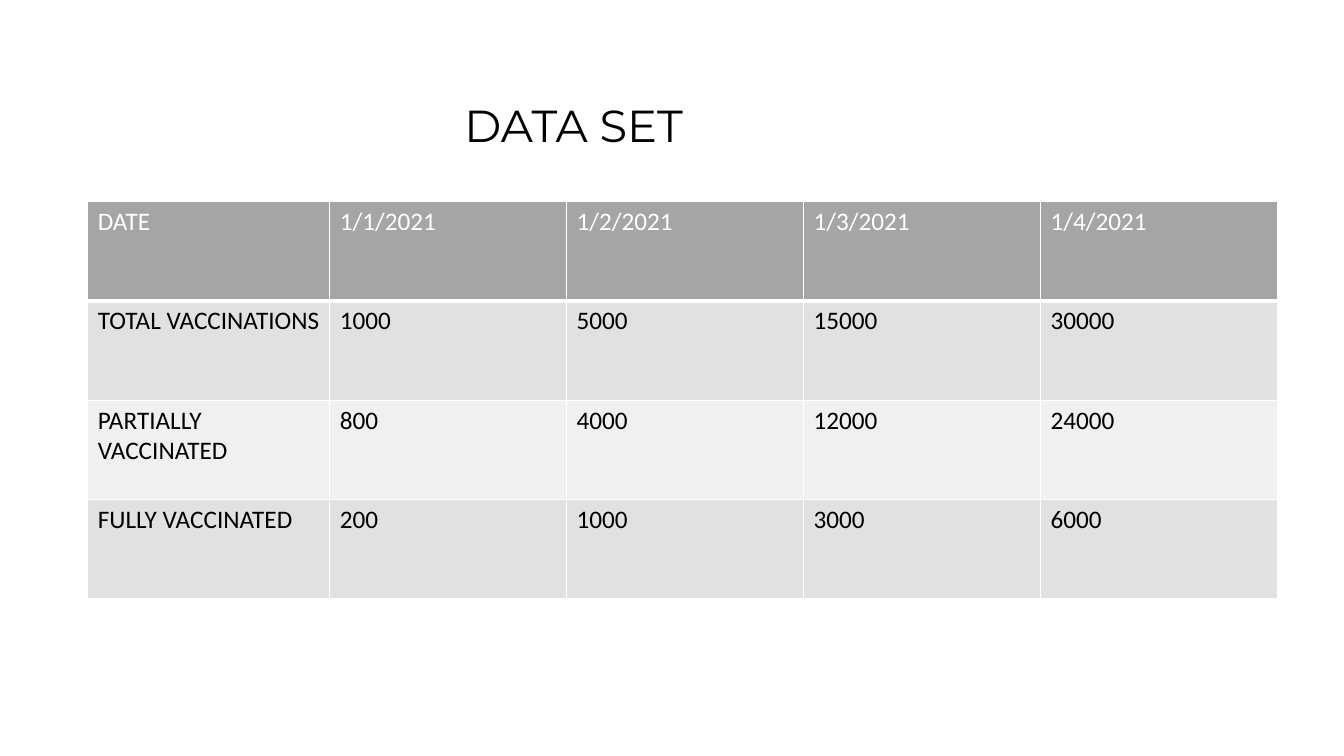
import lxml.etree
import pptx
import pptx.dml.color
import pptx.oxml.ns
import pptx.util

WHITE = pptx.dml.color.RGBColor(0xFF, 0xFF, 0xFF)
BLACK = pptx.dml.color.RGBColor(0x00, 0x00, 0x00)
HEADER_GRAY = pptx.dml.color.RGBColor(0xA5, 0xA5, 0xA5)
BAND_GRAYS = (
    pptx.dml.color.RGBColor(0xE1, 0xE1, 0xE1),
    pptx.dml.color.RGBColor(0xF0, 0xF0, 0xF0),
)

VACCINATIONS = (
    ("DATE", "1/1/2021", "1/2/2021", "1/3/2021", "1/4/2021"),
    ("TOTAL VACCINATIONS", "1000", "5000", "15000", "30000"),
    ("PARTIALLY VACCINATED", "800", "4000", "12000", "24000"),
    ("FULLY VACCINATED", "200", "1000", "3000", "6000"),
)


def write_text(frame, text, *, font, size, color, indent=0):
    """Write one formatted paragraph, indented by a length in inches."""
    frame.word_wrap = True
    paragraph = frame.paragraphs[0]
    properties = paragraph._p.get_or_add_pPr()
    properties.set("marL", str(pptx.util.Inches(indent)))
    run = paragraph.add_run()
    run.text = text
    run.font.name = font
    run.font.size = pptx.util.Pt(size)
    run.font.bold = False
    run.font.color.rgb = color


def set_borders(cell, color, widths):
    """Draw the left, right, top and bottom borders with widths in points."""
    properties = cell._tc.get_or_add_tcPr()
    qn = pptx.oxml.ns.qn
    for position, (side, width) in enumerate(zip("LRTB", widths)):
        line = lxml.etree.Element(qn(f"a:ln{side}"), w=str(pptx.util.Pt(width)))
        fill = lxml.etree.SubElement(line, qn("a:solidFill"))
        lxml.etree.SubElement(fill, qn("a:srgbClr"), val=str(color))
        properties.insert(position, line)


def add_title(slide, left, top, width, height):
    """Place the slide title in the given box."""
    title = slide.shapes.add_textbox(
        *map(pptx.util.Inches, (left, top, width, height))
    )
    write_text(title.text_frame, "DATA SET", font="Montserrat", size=32,
               color=BLACK, indent=width * 0.234)


def add_vaccination_table(slide, left, top, width, height):
    """Fill the given box with the table of vaccinations by date."""
    row_count, column_count = len(VACCINATIONS), len(VACCINATIONS[0])
    table = slide.shapes.add_table(
        row_count, column_count,
        *map(pptx.util.Inches, (left, top, width, height)),
    ).table
    label_width = 2.4
    date_width = (width - label_width) / (column_count - 1)
    for index, column in enumerate(table.columns):
        column.width = pptx.util.Inches(date_width if index else label_width)
    for row_index, (row, values) in enumerate(zip(table.rows, VACCINATIONS)):
        row.height = pptx.util.Inches(height / row_count)
        is_header = row_index == 0
        fill_color = HEADER_GRAY if is_header else BAND_GRAYS[(row_index - 1) % 2]
        for cell, value in zip(row.cells, values):
            cell.fill.solid()
            cell.fill.fore_color.rgb = fill_color
            set_borders(cell, WHITE, (1, 1, 1, 3 if is_header else 1))
            write_text(cell.text_frame, value, font="Calibri", size=18,
                       color=WHITE if is_header else BLACK)


def main():
    """Build and save the data set slide."""
    deck = pptx.Presentation()
    deck.slide_width = pptx.util.Inches(13.33)
    deck.slide_height = pptx.util.Inches(7.5)
    slide = deck.slides.add_slide(deck.slide_layouts[6])
    add_vaccination_table(slide, 0.87, 2, 11.8, 3.94)
    add_title(slide, 2.52, 0.92, 8.49, 0.64)
    deck.save("out.pptx")


if __name__ == "__main__":
    main()
